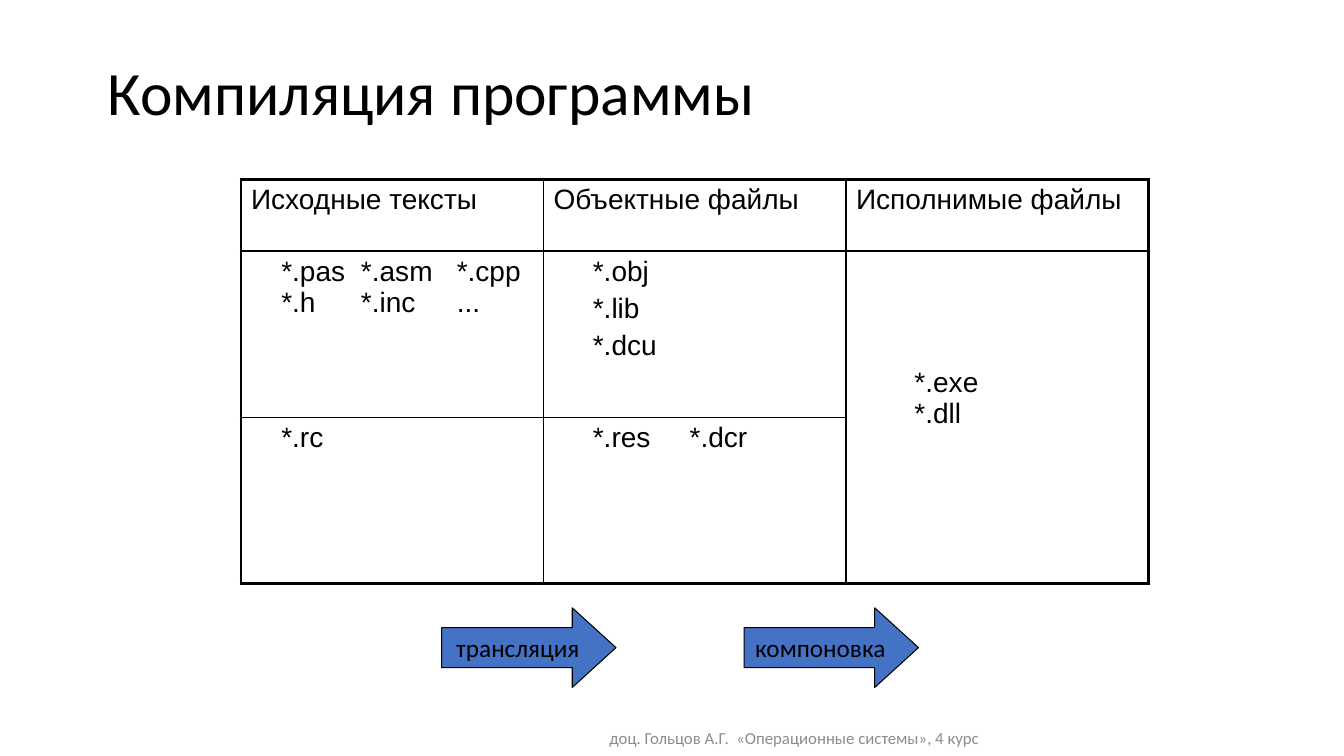
from lxml import etree
from pptx import Presentation
from pptx.dml.color import RGBColor
from pptx.enum.shapes import MSO_SHAPE
from pptx.enum.text import MSO_ANCHOR, PP_ALIGN
from pptx.oxml.ns import qn
from pptx.util import Inches, Pt

RIGHT_ARROW = MSO_SHAPE.RIGHT_ARROW
MIDDLE = MSO_ANCHOR.MIDDLE
LEFT, CENTER = PP_ALIGN.LEFT, PP_ALIGN.CENTER
COLORS = {"ink": "000000", "footer": "8C8C8C", "arrow": "4472C4"}

TABLE_BOX = (2.39, 1.78, 9, 4.01)
ROW_HEIGHTS = (0.71, 1.65, 1.65)
COLUMN_COUNT = 3
CELL_MARGIN = 0.1
OUTER_LINE, INNER_LINE = 2.25, 1
HEADERS = ("Исходные тексты", "Объектные файлы", "Исполнимые файлы")
# (row, column): paragraphs, left indent, top margin, tab stops
FILE_CELLS = {
    (1, 0): (["*.pas\t*.asm\t*.cpp\v*.h\t*.inc\t..."], 0.3, 0.05, (0.79, 1.74)),
    (1, 1): (["*.obj", "*.lib", "*.dcu"], 0.39, 0.05, ()),
    (1, 2): (["*.exe\v*.dll"], 0.58, 1.15, ()),
    (2, 0): (["*.rc"], 0.3, 0.05, ()),
    (2, 1): (["*.res\t*.dcr"], 0.39, 0.05, (0.96,)),
}
ARROW_LABELS = ("трансляция", "компоновка")


def color(name):
    return RGBColor.from_string(COLORS[name])


def add_runs(paragraph, text, size, font_name, color_name="ink"):
    """Add one run per line, with a line break at each vertical tab."""
    for index, line in enumerate(text.split("\v")):
        if index:
            paragraph.add_line_break()
        run = paragraph.add_run()
        run.text = line
        run.font.size = Pt(size)
        run.font.name = font_name
        run.font.color.rgb = color(color_name)


def add_label(slide, box, text, size, color_name="ink", alignment=LEFT, spacing=1.0):
    shape = slide.shapes.add_textbox(*map(Inches, box))
    frame = shape.text_frame
    frame.word_wrap = True
    frame.vertical_anchor = MIDDLE
    paragraph = frame.paragraphs[0]
    paragraph.alignment = alignment
    paragraph.line_spacing = spacing
    add_runs(paragraph, text, size, "Calibri", color_name)


def set_borders(cell, row, column):
    """Draw thick lines on the table's outer edges and thin ones inside."""
    outer = {
        "L": column == 0,
        "R": column == COLUMN_COUNT - 1,
        "T": row == 0,
        "B": row == len(ROW_HEIGHTS) - 1,
    }
    properties = cell._tc.get_or_add_tcPr()
    for position, (side, is_outer) in enumerate(outer.items()):
        width = Pt(OUTER_LINE if is_outer else INNER_LINE)
        line = etree.Element(qn(f"a:ln{side}"), w=str(width))
        fill = etree.SubElement(line, qn("a:solidFill"))
        etree.SubElement(fill, qn("a:srgbClr"), val=COLORS["ink"])
        properties.insert(position, line)


def add_tab_stops(paragraph, stops):
    tab_list = etree.SubElement(paragraph._p.get_or_add_pPr(), qn("a:tabLst"))
    for stop in stops:
        etree.SubElement(tab_list, qn("a:tab"), pos=str(Inches(stop)), algn="l")


def fill_cell(cell, paragraphs, indent=0, top=0.05, stops=()):
    cell.margin_left = Inches(CELL_MARGIN + indent)
    cell.margin_top = Inches(top)
    for index, text in enumerate(paragraphs):
        frame = cell.text_frame
        paragraph = frame.add_paragraph() if index else frame.paragraphs[0]
        if index:
            paragraph.space_before = Pt(4)
        if stops:
            add_tab_stops(paragraph, stops)
        add_runs(paragraph, text, 20, "Arial")


def add_file_table(slide, box):
    frame = slide.shapes.add_table(len(ROW_HEIGHTS), COLUMN_COUNT, *map(Inches, box))
    table = frame.table
    table.first_row = False
    table.horz_banding = False
    for column in table.columns:
        column.width = Inches(box[2] / COLUMN_COUNT)
    for row_index, height in enumerate(ROW_HEIGHTS):
        table.rows[row_index].height = Inches(height)
        for column_index in range(COLUMN_COUNT):
            cell = table.cell(row_index, column_index)
            cell.fill.background()
            set_borders(cell, row_index, column_index)
    table.cell(1, 2).merge(table.cell(2, 2))
    # The merged cell ends on the table's bottom edge
    merged_bottom = table.cell(1, 2)._tc.tcPr.find(qn("a:lnB"))
    merged_bottom.set("w", str(Pt(OUTER_LINE)))
    for column_index, header in enumerate(HEADERS):
        fill_cell(table.cell(0, column_index), [header])
    for (row_index, column_index), content in FILE_CELLS.items():
        fill_cell(table.cell(row_index, column_index), *content)


def add_step_arrows(slide, box):
    """Place one arrow below each inner column line of the table box."""
    left, top, width, height = box
    step = width / COLUMN_COUNT
    for index, label in enumerate(ARROW_LABELS):
        place = (left + 1.99 + index * step, top + height + 0.24, 1.73, 0.79)
        arrow = slide.shapes.add_shape(RIGHT_ARROW, *map(Inches, place))
        arrow.adjustments[0] = 0.5
        arrow.adjustments[1] = 0.549
        arrow.shadow.inherit = False
        arrow.fill.solid()
        arrow.fill.fore_color.rgb = color("arrow")
        arrow.line.color.rgb = color("ink")
        arrow.line.width = Pt(0.75)
        frame = arrow.text_frame
        frame.word_wrap = False
        frame.vertical_anchor = MIDDLE
        frame.paragraphs[0].alignment = CENTER
        add_runs(frame.paragraphs[0], label, 18, "Calibri")


def main():
    presentation = Presentation()
    presentation.slide_width = Inches(13.33)
    presentation.slide_height = Inches(7.5)
    slide = presentation.slides.add_slide(presentation.slide_layouts[6])
    add_label(slide, (2.68, 7.14, 10.4, 0.36),
              "доц. Гольцов А.Г.  «Операционные системы», 4 курс",
              12, "footer", CENTER)
    add_label(slide, (0.97, 0.32, 12, 1.25), "Компиляция программы", 44, spacing=0.9)
    add_file_table(slide, TABLE_BOX)
    add_step_arrows(slide, TABLE_BOX)
    presentation.save("out.pptx")


if __name__ == "__main__":
    main()
